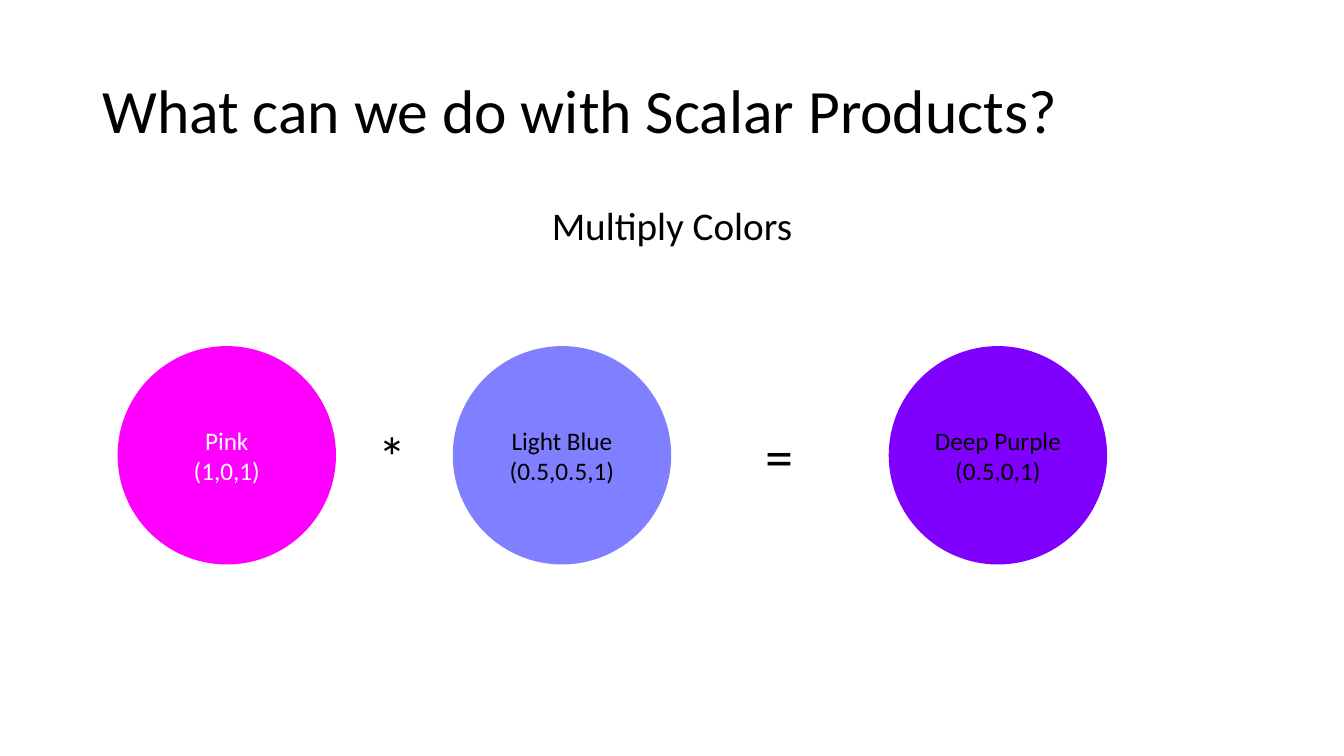
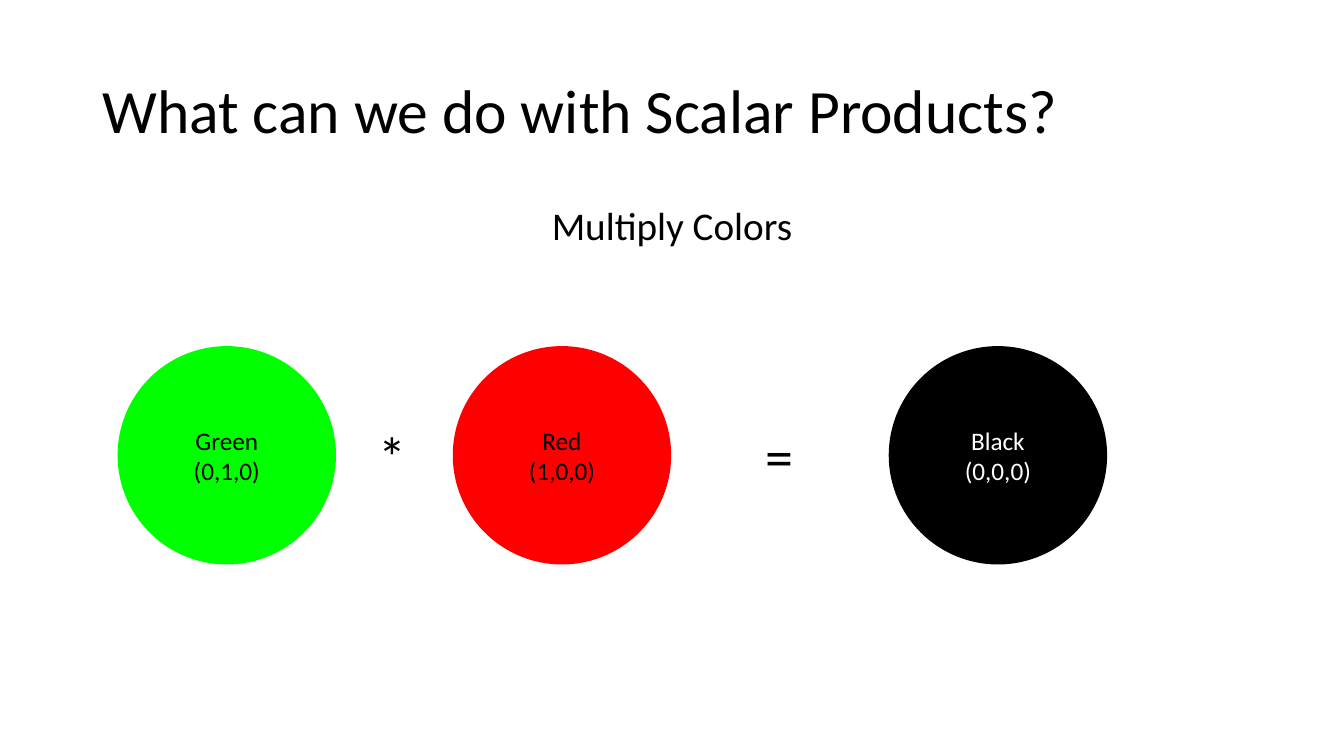
from dataclasses import dataclass

from pptx import Presentation
from pptx import util as u
from pptx.dml.color import RGBColor
from pptx.enum import shapes, text


@dataclass(frozen=True)
class Theme:
    font: str = "Calibri"
    black: str = "000000"
    white: str = "FFFFFF"
    pink: str = "FF00FF"
    light_blue: str = "7F7FFF"
    deep_purple: str = "7F00FF"
    green: str = "00FF00"
    red: str = "FF0000"
    title: int = 44
    body: int = 28
    label: int = 18
    operator: int = 40


T = Theme()
COLS, ROWS = 80, 45
MARGIN, CONTENT = 5.5, 69
CIRCLE_ROW, DIAMETER = 20.6, 13
CIRCLE_COLS = (7, 26.95, 52.9)
OPERATOR_ROW = 24.8
OPERATORS = (("*", 21.95), ("=", 44.95))


class Deck:
    def __init__(self):
        self.prs = Presentation()
        self.prs.slide_width = u.Inches(13.333)
        self.prs.slide_height = u.Inches(7.5)
        self.s = None

    def new_slide(self):
        self.s = self.prs.slides.add_slide(self.prs.slide_layouts[6])

    def grid(self, col, row, cols, rows):
        w, h = self.prs.slide_width / COLS, self.prs.slide_height / ROWS
        return [u.Emu(round(n)) for n in (col * w, row * h, cols * w, rows * h)]

    def add_text(self, sp, lines, size, color, align=text.PP_ALIGN.LEFT,
                 anchor=text.MSO_ANCHOR.TOP, spacing=1.0):
        tf = sp.text_frame
        tf.word_wrap = True
        tf.vertical_anchor = anchor
        for i, line in enumerate(lines):
            p = tf.add_paragraph() if i else tf.paragraphs[0]
            p.alignment = align
            p.line_spacing = spacing
            r = p.add_run()
            r.text = line
            r.font.name = T.font
            r.font.size = u.Pt(size)
            r.font.color.rgb = RGBColor.from_string(color)

    def textbox(self, box, line, size, **style):
        sp = self.s.shapes.add_textbox(*self.grid(*box))
        self.add_text(sp, [line], size, T.black, **style)

    def title(self, line):
        self.textbox((MARGIN, 2.4, CONTENT, 8.7), line, T.title,
                     anchor=text.MSO_ANCHOR.MIDDLE, spacing=0.9)

    def body(self, line):
        self.textbox((MARGIN, 12, CONTENT, 28.6), line, T.body,
                     align=text.PP_ALIGN.CENTER, spacing=0.9)

    def operator(self, sign, col):
        self.textbox((col, OPERATOR_ROW, 3.05, 4.6), sign, T.operator)

    def circle(self, col, name, value, fill, color):
        sp = self.s.shapes.add_shape(
            shapes.MSO_SHAPE.OVAL, *self.grid(col, CIRCLE_ROW, DIAMETER, DIAMETER))
        sp.shadow.inherit = False
        sp.fill.solid()
        sp.fill.fore_color.rgb = RGBColor.from_string(fill)
        sp.line.fill.background()
        self.add_text(sp, [name, value], T.label, color,
                      align=text.PP_ALIGN.CENTER, anchor=text.MSO_ANCHOR.MIDDLE)

    def product(self, colors):
        self.new_slide()
        self.title("What can we do with Scalar Products?")
        self.body("Multiply Colors")
        for col, color in zip(CIRCLE_COLS, colors):
            self.circle(col, *color)
        for sign, col in OPERATORS:
            self.operator(sign, col)


PRODUCTS = (
    (("Pink", "(1,0,1)", T.pink, T.white),
     ("Light Blue", "(0.5,0.5,1)", T.light_blue, T.black),
     ("Deep Purple", "(0.5,0,1)", T.deep_purple, T.black)),
    (("Green", "(0,1,0)", T.green, T.black),
     ("Red", "(1,0,0)", T.red, T.black),
     ("Black", "(0,0,0)", T.black, T.white)),
)


def main():
    deck = Deck()
    for colors in PRODUCTS:
        deck.product(colors)
    deck.prs.save("out.pptx")


if __name__ == "__main__":
    main()
